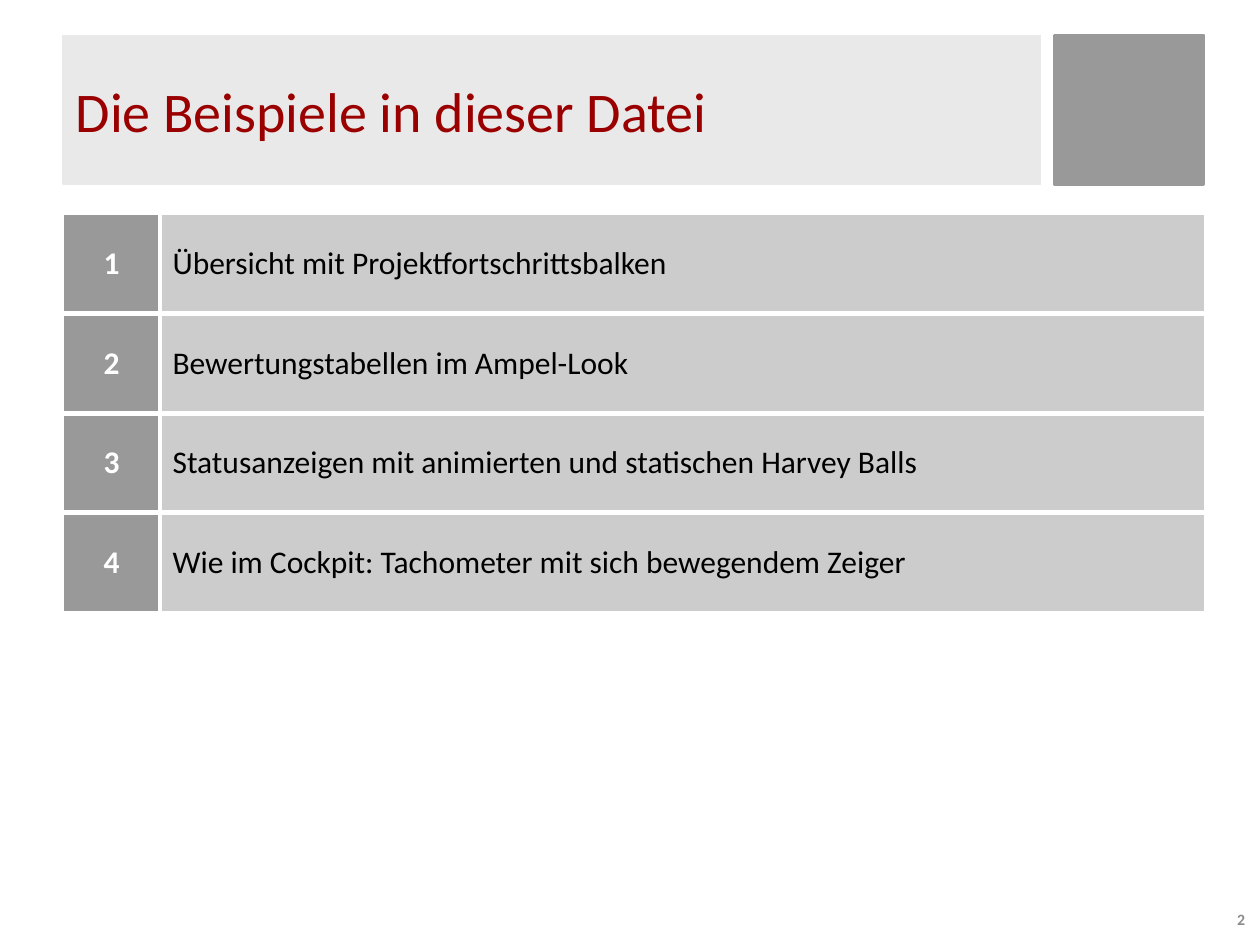
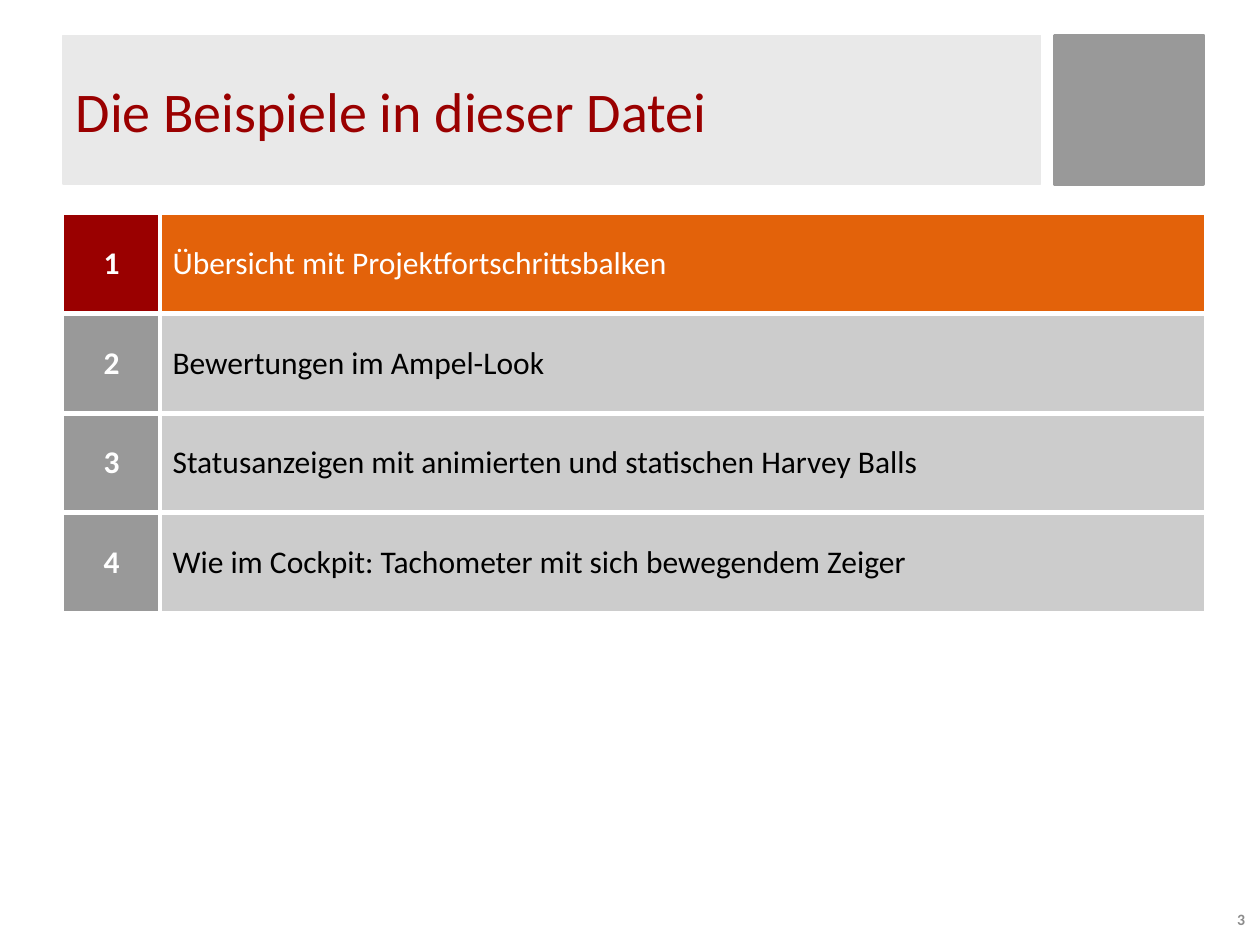
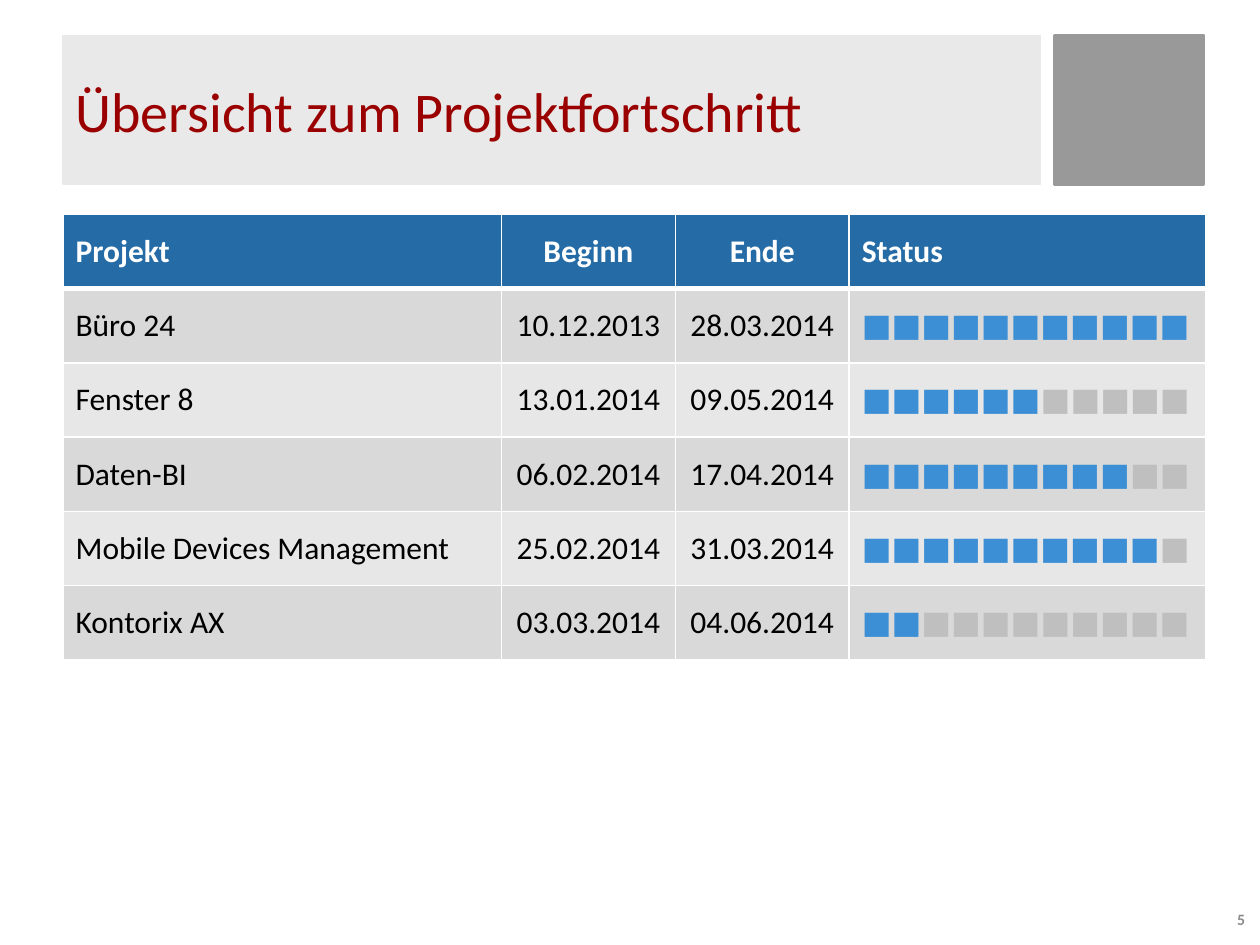
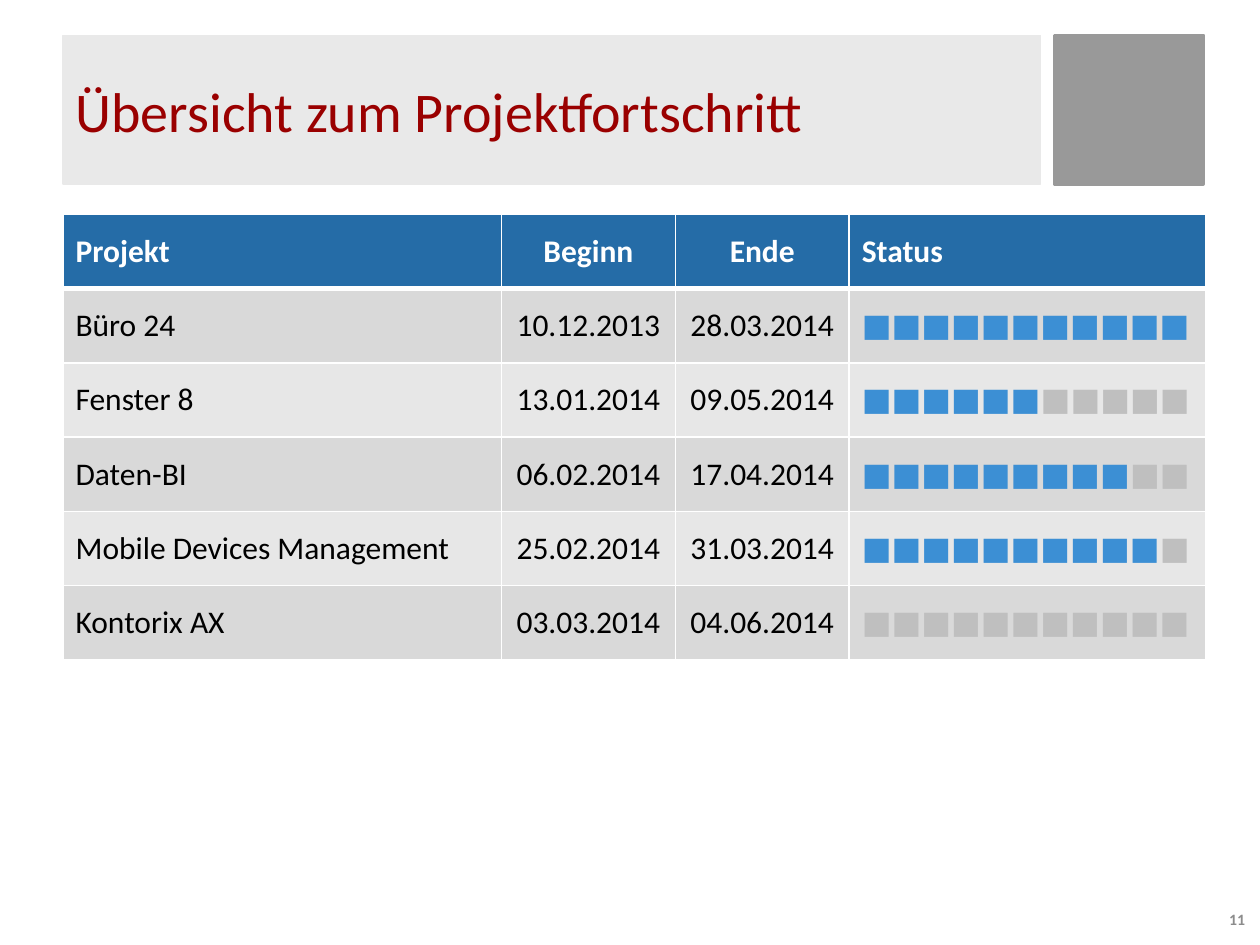
from dataclasses import dataclass
from typing import NamedTuple

from lxml import etree
from pptx import Presentation
from pptx import util as u
from pptx.dml import color as col
from pptx.enum import shapes, text
from pptx.oxml import ns


@dataclass(frozen=True)
class Theme:
    font: str = "Calibri"
    title_size: int = 32
    body_size: int = 18
    footer_size: int = 9
    white: str = "FFFFFF"
    black: str = "000000"
    red: str = "9A0000"
    orange: str = "E3620A"
    band: str = "E9E9E9"
    marker: str = "999999"
    item: str = "CCCCCC"
    header: str = "256CA7"
    odd_row: str = "D9D9D9"
    even_row: str = "E7E7E7"
    done: str = "3C8FD4"
    still_open: str = "BFBFBF"
    footer: str = "8C8C8C"
    thin: float = 1
    thick: float = 3


class Box(NamedTuple):
    left: float
    top: float
    width: float
    height: float

    def lengths(self) -> list:
        return [u.Inches(v) for v in self]


class Span(NamedTuple):
    text: str
    color: str


class Borders(NamedTuple):
    left: float
    right: float
    top: float
    bottom: float


class Project(NamedTuple):
    name: str
    begin: str
    end: str
    done: int


@dataclass(frozen=True)
class Agenda:
    number: int
    items: tuple[str, ...]
    active: int = -1
    title: str = "Die Beispiele in dieser Datei"


@dataclass(frozen=True)
class Status:
    number: int
    projects: tuple[Project, ...]
    title: str = "Übersicht zum Projektfortschritt"


T = Theme()
LEFT = text.PP_ALIGN.LEFT
CENTER = text.PP_ALIGN.CENTER
RIGHT = text.PP_ALIGN.RIGHT

TITLE_BOX = Box(0.5, 0.28, 7.76, 1.18)
MARKER_BOX = Box(8.37, 0.28, 1.18, 1.18)
NUMBER_BOX = Box(9.18, 7.14, 0.8, 0.31)
TABLE_LEFT, TABLE_TOP = 0.5, 1.7
AGENDA_COLS, AGENDA_ROW = (0.77, 8.29), 0.79
STATUS_COLS, STATUS_ROW = (3.48, 1.38, 1.38, 2.83), 0.59
STATUS_ALIGN = (LEFT, CENTER, CENTER, LEFT)
STATUS_HEADS = ("Projekt", "Beginn", "Ende", "Status")
STEPS = 11

TOPICS = (
    "Übersicht mit Projektfortschrittsbalken",
    "Bewertungstabellen im Ampel-Look",
    "Statusanzeigen mit animierten und statischen Harvey Balls",
    "Wie im Cockpit: Tachometer mit sich bewegendem Zeiger",
)
RUNNING = (
    Project("Büro 24", "10.12.2013", "28.03.2014", 11),
    Project("Fenster 8", "13.01.2014", "09.05.2014", 6),
    Project("Daten-BI", "06.02.2014", "17.04.2014", 9),
    Project("Mobile Devices Management", "25.02.2014", "31.03.2014", 10),
)
LATEST = Project("Kontorix AX", "03.03.2014", "04.06.2014", 2)

PAGES = (
    Agenda(2, TOPICS),
    Agenda(3, (TOPICS[0], "Bewertungen im Ampel-Look") + TOPICS[2:], active=0),
    Status(5, RUNNING + (LATEST,)),
    Status(11, RUNNING + (LATEST._replace(done=0),)),
)


def rgb(value: str) -> col.RGBColor:
    return col.RGBColor.from_string(value)


def write(tf, spans: list[Span], size: int, bold: bool = False, align=LEFT) -> None:
    p = tf.paragraphs[0]
    p.text = spans[0].text
    for span in spans[1:]:
        p.add_run().text = span.text
    p.alignment = align
    for r, span in zip(p.runs, spans):
        r.font.name = T.font
        r.font.size = u.Pt(size)
        r.font.bold = bold
        r.font.color.rgb = rgb(span.color)


def paint(sp, color: str, line_width: float) -> None:
    sp.fill.solid()
    sp.fill.fore_color.rgb = rgb(color)
    sp.line.color.rgb = rgb(color)
    sp.line.width = u.Pt(line_width)


def place(sp, box: Box) -> None:
    sp.left, sp.top, sp.width, sp.height = box.lengths()


def set_borders(cell, borders: Borders) -> None:
    tc_pr = cell._tc.get_or_add_tcPr()
    for i, (side, width) in enumerate(zip("LRTB", borders)):
        ln = etree.Element(ns.qn(f"a:ln{side}"), w=str(u.Pt(width)))
        fill = etree.SubElement(ln, ns.qn("a:solidFill"))
        etree.SubElement(fill, ns.qn("a:srgbClr"), val=T.white)
        tc_pr.insert(i, ln)


def fill_cell(cell, spans: list[Span], fill: str, borders: Borders,
              bold: bool = False, align=LEFT) -> None:
    cell.fill.solid()
    cell.fill.fore_color.rgb = rgb(fill)
    cell.vertical_anchor = text.MSO_ANCHOR.MIDDLE
    write(cell.text_frame, spans, T.body_size, bold, align)
    set_borders(cell, borders)


def add_grid(s, rows: int, cols: tuple[float, ...], row_height: float):
    box = Box(TABLE_LEFT, TABLE_TOP, sum(cols), rows * row_height)
    table = s.shapes.add_table(rows, len(cols), *box.lengths()).table
    table.horz_banding = False
    for column, width in zip(table.columns, cols):
        column.width = u.Inches(width)
    for row in table.rows:
        row.height = u.Inches(row_height)
    return table


def add_agenda(s, page: Agenda) -> None:
    table = add_grid(s, len(page.items), AGENDA_COLS, AGENDA_ROW)
    table.first_row = False
    last = len(page.items) - 1
    for i, item in enumerate(page.items):
        active = i == page.active
        top = T.thick if i > 0 else T.thin
        bottom = T.thick if i < last else T.thin
        fill_cell(table.cell(i, 0), [Span(str(i + 1), T.white)],
                  T.red if active else T.marker,
                  Borders(T.thin, T.thick, top, bottom), True, CENTER)
        fill_cell(table.cell(i, 1), [Span(item, T.white if active else T.black)],
                  T.orange if active else T.item,
                  Borders(T.thick, T.thin, top, bottom))


def progress(done: int) -> list[Span]:
    parts = (Span("■" * done, T.done), Span("■" * (STEPS - done), T.still_open))
    return [span for span in parts if span.text]


def add_status(s, page: Status) -> None:
    rows = [[[Span(head, T.white)] for head in STATUS_HEADS]]
    for project in page.projects:
        labels = [[Span(label, T.black)] for label in project[:3]]
        rows.append(labels + [progress(project.done)])
    table = add_grid(s, len(rows), STATUS_COLS, STATUS_ROW)
    for i, row in enumerate(rows):
        is_head = i == 0
        fill = T.header if is_head else T.odd_row if i % 2 else T.even_row
        borders = Borders(T.thin, T.thin, T.thick if i == 1 else T.thin,
                          T.thick if is_head else T.thin)
        for j, spans in enumerate(row):
            fill_cell(table.cell(i, j), spans, fill, borders, is_head, STATUS_ALIGN[j])


def add_marker(s, layout) -> None:
    sp = s.shapes.add_shape(shapes.MSO_SHAPE.RECTANGLE, *MARKER_BOX.lengths())
    sp.shadow.inherit = False
    paint(sp, T.marker, 2)
    layout.shapes.element.insert(2, sp.element)


def add_page(prs, layout, page: Agenda | Status):
    s = prs.slides.add_slide(layout)
    title = s.shapes.title
    place(title, TITLE_BOX)
    paint(title, T.band, 0.75)
    tf = title.text_frame
    tf.auto_size = text.MSO_AUTO_SIZE.NONE
    tf.vertical_anchor = text.MSO_ANCHOR.MIDDLE
    write(tf, [Span(page.title, T.red)], T.title_size)
    if isinstance(page, Agenda):
        add_agenda(s, page)
    else:
        add_status(s, page)
    tf = s.shapes.add_textbox(*NUMBER_BOX.lengths()).text_frame
    tf.word_wrap = True
    tf.vertical_anchor = text.MSO_ANCHOR.MIDDLE
    write(tf, [Span(str(page.number), T.footer)], T.footer_size, True, RIGHT)
    return s


def main() -> None:
    prs = Presentation()
    prs.slide_width = u.Inches(10)
    prs.slide_height = u.Inches(7.5)
    layout = prs.slide_layouts[5]
    pages = [add_page(prs, layout, page) for page in PAGES]
    add_marker(pages[0], layout)
    prs.save("out.pptx")


if __name__ == "__main__":
    main()
